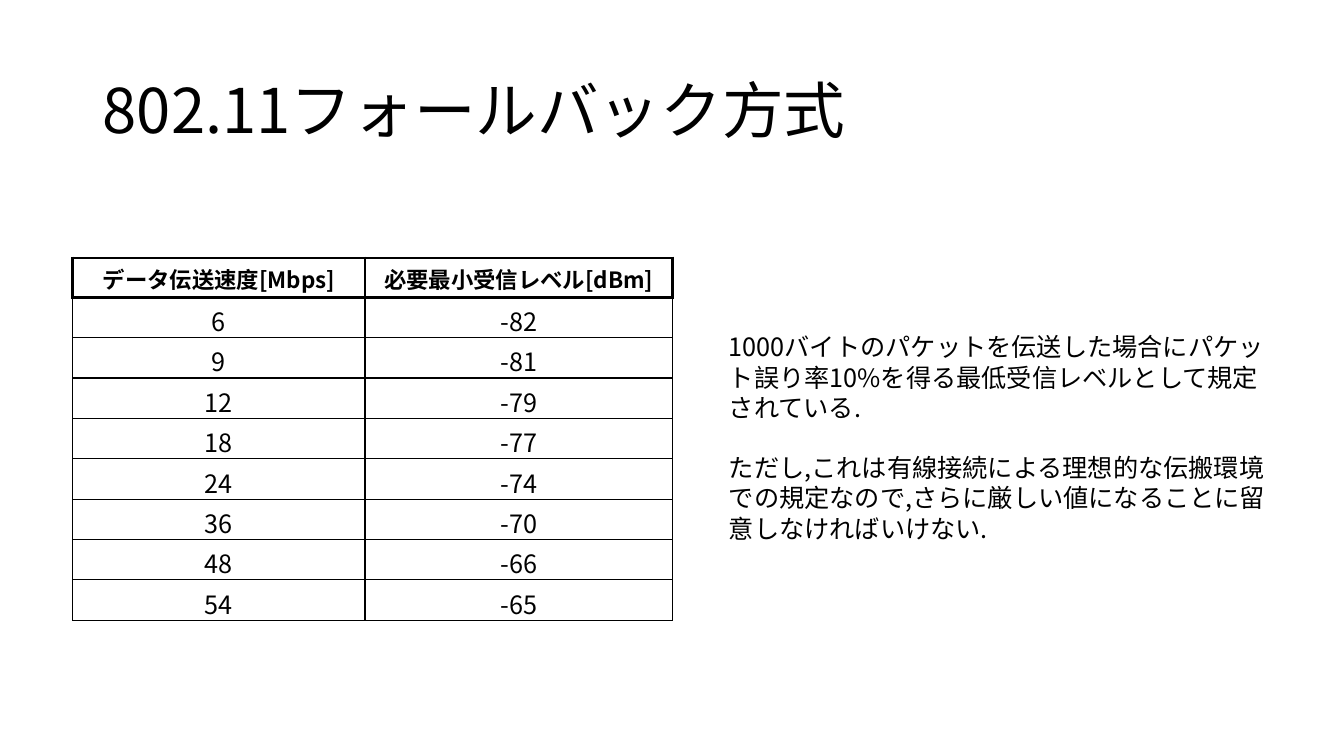
from dataclasses import dataclass

from lxml.etree import SubElement
from pptx import Presentation
from pptx.dml.color import RGBColor
from pptx.enum.text import MSO_ANCHOR, MSO_AUTO_SIZE, PP_ALIGN
from pptx.oxml import parse_xml
from pptx.oxml.ns import nsdecls, qn
from pptx.util import Inches, Pt


@dataclass(frozen=True)
class Theme:
    font: str = "Noto Sans CJK JP"
    ink: str = "000000"
    title: float = 44
    body: float = 18
    head: float = 16
    thin: float = 1
    thick: float = 2.25


TITLE = "802.11フォールバック方式"
HEADS = ("データ伝送速度[Mbps]", "必要最小受信レベル[dBm]")
LEVELS = {6: -82, 9: -81, 12: -79, 18: -77, 24: -74, 36: -70, 48: -66, 54: -65}
NOTES = (
    "1000バイトのパケットを伝送した場合にパケット誤り率10%を得る最低受信レベルとして規定されている.",
    "ただし,これは有線接続による理想的な伝搬環境での規定なので,さらに厳しい値になることに留意しなければいけない.",
)


def write(frame, lines, theme, size, bold=False, align=PP_ALIGN.LEFT,
          spacing=None, gap=0):
    """Fill a text frame, one paragraph a line, with gap points between them."""
    for i, line in enumerate(lines):
        para = frame.add_paragraph() if i else frame.paragraphs[0]
        para.alignment = align
        if spacing:
            para.line_spacing = spacing
        if i and gap:
            para.space_before = Pt(gap)
        run = para.add_run()
        run.text = line
        font = run.font
        font.name, font.size, font.bold = theme.font, Pt(size), bold
        font.color.rgb = RGBColor.from_string(theme.ink)
        SubElement(font._element, qn("a:ea"), typeface=theme.font)


class Page:
    """Holds the theme and the slide being drawn."""

    def __init__(self, slide, theme):
        self.slide, self.theme = slide, theme

    def text(self, box, lines, size, anchor=MSO_ANCHOR.TOP, grow=False, **style):
        shape = self.slide.shapes.add_textbox(*map(Inches, box))
        frame = shape.text_frame
        frame.word_wrap = True
        frame.vertical_anchor = anchor
        if grow:
            frame.auto_size = MSO_AUTO_SIZE.SHAPE_TO_FIT_TEXT
        write(frame, lines, self.theme, size, **style)

    def edge(self, cell, widths):
        """Draw the left, right, top and bottom borders, widths in points."""
        props = cell._tc.get_or_add_tcPr()
        for i, (side, width) in enumerate(zip("LRTB", widths)):
            props.insert(i, parse_xml(
                f'<a:ln{side} {nsdecls("a")} w="{Pt(width)}"><a:solidFill>'
                f'<a:srgbClr val="{self.theme.ink}"/></a:solidFill></a:ln{side}>'))

    def table(self, left, top, cols, heights, rows):
        theme = self.theme
        table = self.slide.shapes.add_table(
            len(rows), len(cols), Inches(left), Inches(top),
            Inches(sum(cols)), Inches(sum(heights))).table
        table.first_row = table.horz_banding = False
        for col, width in zip(table.columns, cols):
            col.width = Inches(width)
        for r, (row, height) in enumerate(zip(rows, heights)):
            table.rows[r].height = Inches(height)
            head = r == 0
            side = theme.thick if head else theme.thin
            above = theme.thick if r < 2 else theme.thin
            for c, value in enumerate(row):
                cell = table.cell(r, c)
                cell.fill.background()
                self.edge(cell, (side, side, above, side))
                write(cell.text_frame, [str(value)], theme,
                      theme.head if head else theme.body,
                      bold=head, align=PP_ALIGN.CENTER)


def main():
    deck = Presentation()
    deck.slide_width, deck.slide_height = Inches(13.33), Inches(7.5)
    theme = Theme()
    page = Page(deck.slides.add_slide(deck.slide_layouts[6]), theme)
    page.text((0.92, 0.4, 11.5, 1.45), [TITLE], theme.title,
              anchor=MSO_ANCHOR.MIDDLE, spacing=0.9)
    page.table(0.72, 2.56, (2.9, 3.05), [0.39] + [0.35] * len(LEVELS),
               [HEADS, *LEVELS.items()])
    pitch = theme.body * 1.2
    page.text((7.13, 3.24, 5.59, 2.22), NOTES, theme.body, grow=True,
              spacing=Pt(pitch), gap=pitch)
    deck.save("out.pptx")


if __name__ == "__main__":
    main()
